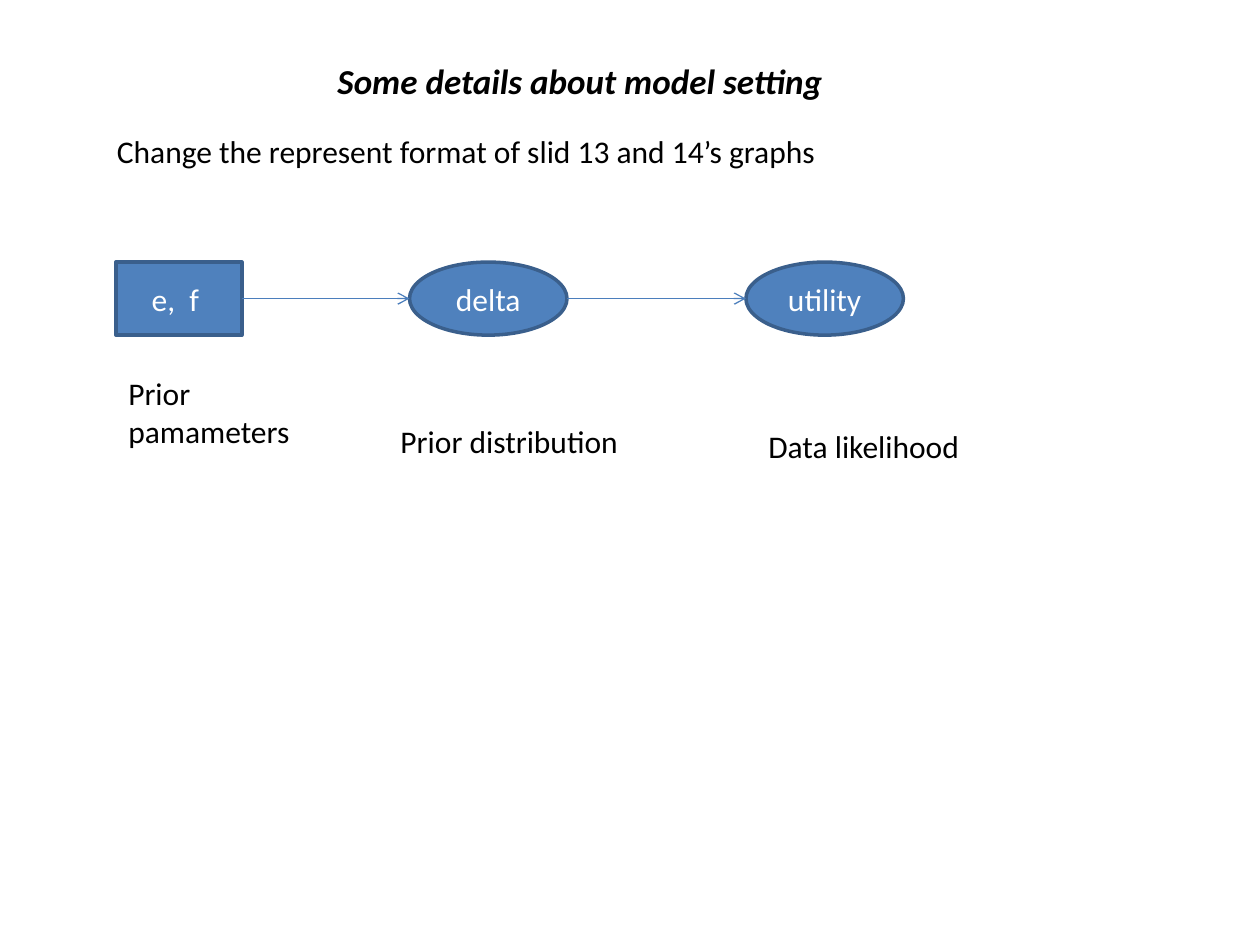
from lxml.etree import SubElement
from pptx import Presentation
from pptx.dml.color import RGBColor
from pptx.enum.shapes import MSO_CONNECTOR, MSO_SHAPE
from pptx.enum.text import MSO_ANCHOR, PP_ALIGN
from pptx.oxml.ns import qn
from pptx.util import Inches, Pt

COLORS = {
    "background": "FFFFFF",
    "text": "000000",
    "node_text": "FFFFFF",
    "node_fill": "4F81BD",
    "node_line": "3A5F8C",
    "arrow": "4B7EBC",
}
FONT = "Calibri"
NODE_TOP, NODE_HEIGHT = 2.08, 0.58

# Model nodes: text, preset shape, left, width
NODES = [
    ("e,  f ", MSO_SHAPE.RECTANGLE, 0.92, 1),
    ("delta", MSO_SHAPE.OVAL, 3.25, 1.25),
    ("utility", MSO_SHAPE.OVAL, 5.92, 1.25),
]

# Captions under the nodes: text, left, top, width, height
CAPTIONS = [
    ("Prior pamameters", 0.92, 2.92, 1.83, 0.71),
    ("Prior distribution", 3.08, 3.3, 2.42, 0.4),
    ("Data likelihood", 6, 3.34, 1.83, 0.4),
]


def color(name):
    return RGBColor.from_string(COLORS[name])


def write_text(shape, text, color_name="text", size=18):
    shape.text_frame.word_wrap = True
    paragraph = shape.text_frame.paragraphs[0]
    paragraph.text = text
    paragraph.font.name = FONT
    paragraph.font.size = Pt(size)
    paragraph.font.color.rgb = color(color_name)
    return paragraph


def add_text(slide, text, left, top, width, height, size=18):
    box = slide.shapes.add_textbox(
        Inches(left), Inches(top), Inches(width), Inches(height))
    return write_text(box, text, size=size)


def add_node(slide, text, preset, left, width):
    shape = slide.shapes.add_shape(
        preset, Inches(left), Inches(NODE_TOP), Inches(width), Inches(NODE_HEIGHT))
    shape.shadow.inherit = False
    shape.fill.solid()
    shape.fill.fore_color.rgb = color("node_fill")
    shape.line.color.rgb = color("node_line")
    shape.line.width = Pt(2)
    shape.text_frame.vertical_anchor = MSO_ANCHOR.MIDDLE
    write_text(shape, text, "node_text").alignment = PP_ALIGN.CENTER


def add_arrow(slide, start, end):
    middle = Inches(NODE_TOP + NODE_HEIGHT / 2)
    connector = slide.shapes.add_connector(
        MSO_CONNECTOR.STRAIGHT, Inches(start), middle, Inches(end), middle)
    connector.line.color.rgb = color("arrow")
    connector.line.width = Pt(0.75)
    SubElement(connector.line._get_or_add_ln(), qn("a:tailEnd"), type="arrow")
    SubElement(connector._element.spPr, qn("a:effectLst"))


def main():
    presentation = Presentation()
    presentation.slide_width = Inches(10)
    presentation.slide_height = Inches(7.5)
    slide = presentation.slides.add_slide(presentation.slide_layouts[6])
    slide.background.fill.solid()
    slide.background.fill.fore_color.rgb = color("background")

    # Title and introduction
    title = add_text(slide, "Some details about model setting",
                     2.58, 0.42, 5.75, 0.44, size=20)
    title.font.bold = True
    title.font.italic = True
    add_text(slide, "Change the represent format of slid 13 and 14’s graphs",
             0.83, 1, 7.33, 0.4)

    # Model diagram
    for node in NODES:
        add_node(slide, *node)
    for (_, _, left, width), (_, _, next_left, _) in zip(NODES, NODES[1:]):
        add_arrow(slide, left + width, next_left)

    # Captions
    for caption in CAPTIONS:
        add_text(slide, *caption)

    presentation.save("out.pptx")


if __name__ == "__main__":
    main()
